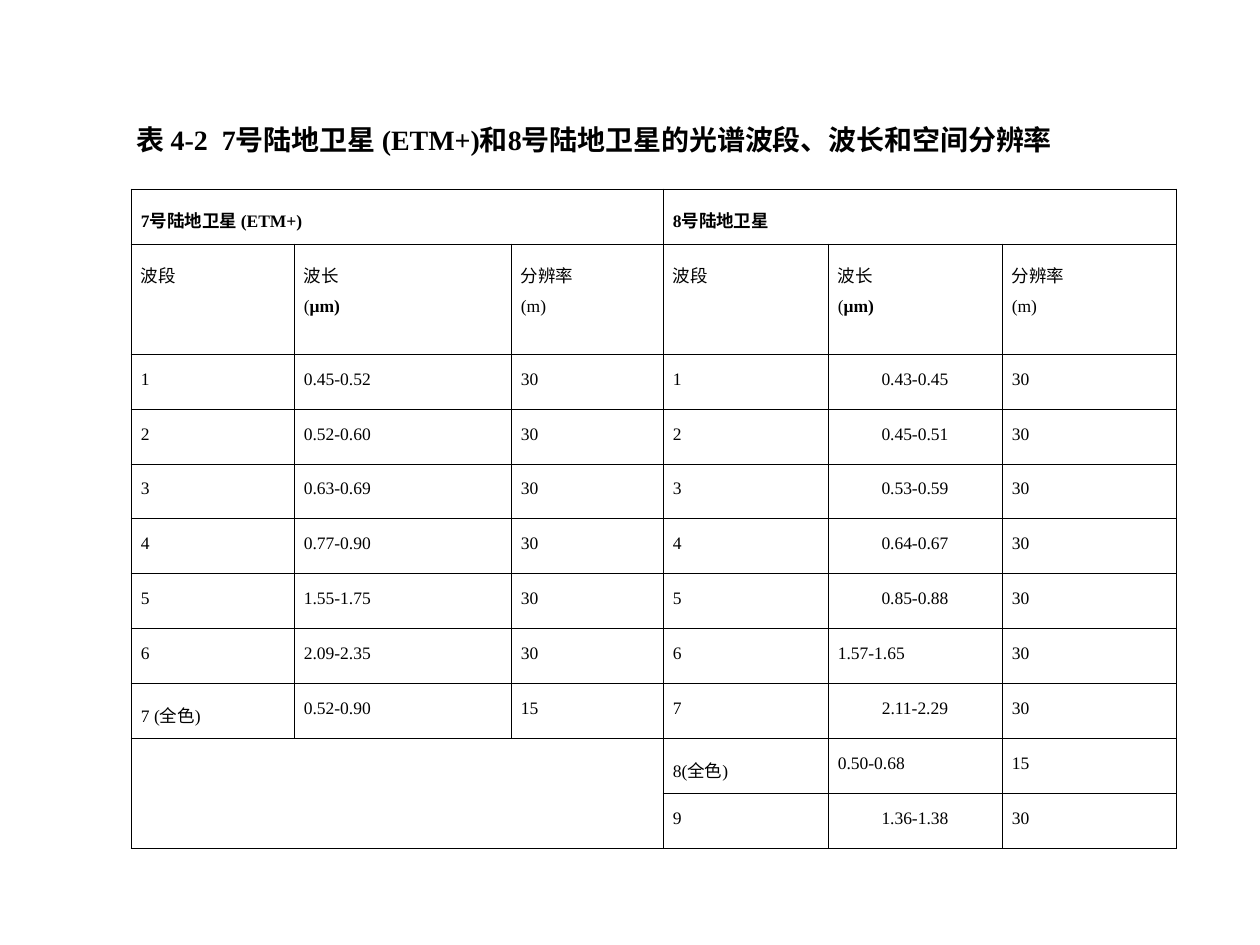
import pptx
import pptx.util
import pptx.dml.color
import pptx.enum.text
from lxml import etree

PX = 914400 // 126
NS = "{http://schemas.openxmlformats.org/drawingml/2006/main}"
LATIN, HAN = "Times New Roman", "Noto Sans CJK SC"
BLACK = "000000"
CENTER = pptx.enum.text.PP_ALIGN.CENTER


def color(value):
    return pptx.dml.color.RGBColor.from_string(value)


def add_run(paragraph, text, size, bold=False, face=LATIN):
    run = paragraph.add_run()
    run.text = text
    run.font.size = pptx.util.Pt(size)
    run.font.bold = bold
    run.font.color.rgb = color(BLACK)
    run.font.name = face
    etree.SubElement(run.font._element, NS + "ea", typeface=HAN)


deck = pptx.Presentation()
deck.slide_width, deck.slide_height = 1260 * PX, 945 * PX
slide = deck.slides.add_slide(deck.slide_layouts[6])

# Band table: each cell is a list of lines, each line a list of (text, bold)
heads = [[[("波段", False)]],
         [[("波长", False)], [("(", False), ("μm)", True)]],
         [[("分辨率", False)], [("(m)", False)]]]
bands = [
    ("1", "0.45-0.52", "30", "1", "0.43-0.45", "30"),
    ("2", "0.52-0.60", "30", "2", "0.45-0.51", "30"),
    ("3", "0.63-0.69", "30", "3", "0.53-0.59", "30"),
    ("4", "0.77-0.90", "30", "4", "0.64-0.67", "30"),
    ("5", "1.55-1.75", "30", "5", "0.85-0.88", "30"),
    ("6", "2.09-2.35", "30", "6", "1.57-1.65", "30"),
    ("7 (全色)", "0.52-0.90", "15", "7", "2.11-2.29", "30"),
    ("", "", "", "8(全色)", "0.50-0.68", "15"),
    ("", "", "", "9", "1.36-1.38", "30"),
]
left_aligned = {"1.57-1.65", "0.50-0.68"}
satellites = [[[("7号陆地卫星 (ETM+)", True)]], [], [],
              [[("8号陆地卫星", True)]], [], []]
rows = [satellites, heads * 2]
rows += [[[[(value, False)]] if value else [] for value in band] for band in bands]

widths = [163, 217, 152, 165, 174, 174]
heights = [55, 110] + [55] * len(bands)
table = slide.shapes.add_table(len(rows), len(widths), 131 * PX, 189 * PX,
                               sum(widths) * PX, sum(heights) * PX).table
table.first_row = table.horz_banding = False
for column, width in zip(table.columns, widths):
    column.width = width * PX
for row, height in zip(table.rows, heights):
    row.height = height * PX

for r, row in enumerate(rows):
    for c, lines in enumerate(row):
        cell = table.cell(r, c)
        cell.margin_left = cell.margin_right = 10 * PX
        cell.margin_top = cell.margin_bottom = 6 * PX
        # Thin black borders come before the fill in the cell properties
        properties = cell._tc.get_or_add_tcPr()
        for side in ("lnL", "lnR", "lnT", "lnB"):
            border = etree.SubElement(properties, NS + side, w=str(pptx.util.Pt(0.45)))
            fill = etree.SubElement(border, NS + "solidFill")
            etree.SubElement(fill, NS + "srgbClr", val=BLACK)
        cell.fill.background()
        for n, line in enumerate(lines):
            frame = cell.text_frame
            paragraph = frame.add_paragraph() if n else frame.paragraphs[0]
            paragraph.line_spacing = 1.5
            if r > 1 and c == 4 and line[0][0] not in left_aligned:
                paragraph.alignment = CENTER
            for text, bold in line:
                add_run(paragraph, text, 10, bold)

# Satellite headings and the empty corner
table.cell(0, 0).merge(table.cell(0, 2))
table.cell(0, 3).merge(table.cell(0, 5))
table.cell(9, 0).merge(table.cell(10, 2))

# Caption
caption = slide.shapes.add_textbox(103 * PX, 116 * PX, 983 * PX, 47 * PX).text_frame
caption.word_wrap = False
caption.auto_size = pptx.enum.text.MSO_AUTO_SIZE.SHAPE_TO_FIT_TEXT
caption.vertical_anchor = pptx.enum.text.MSO_ANCHOR.MIDDLE
caption.paragraphs[0].alignment = CENTER
for text, face in [("表 ", HAN), ("4-2  7", LATIN), ("号陆地卫星 ", HAN),
                   ("(ETM+)", LATIN), ("和", HAN), ("8", LATIN),
                   ("号陆地卫星的光谱波段、波长和空间分辨率", HAN)]:
    add_run(caption.paragraphs[0], text, 16, True, face)

deck.save("out.pptx")
